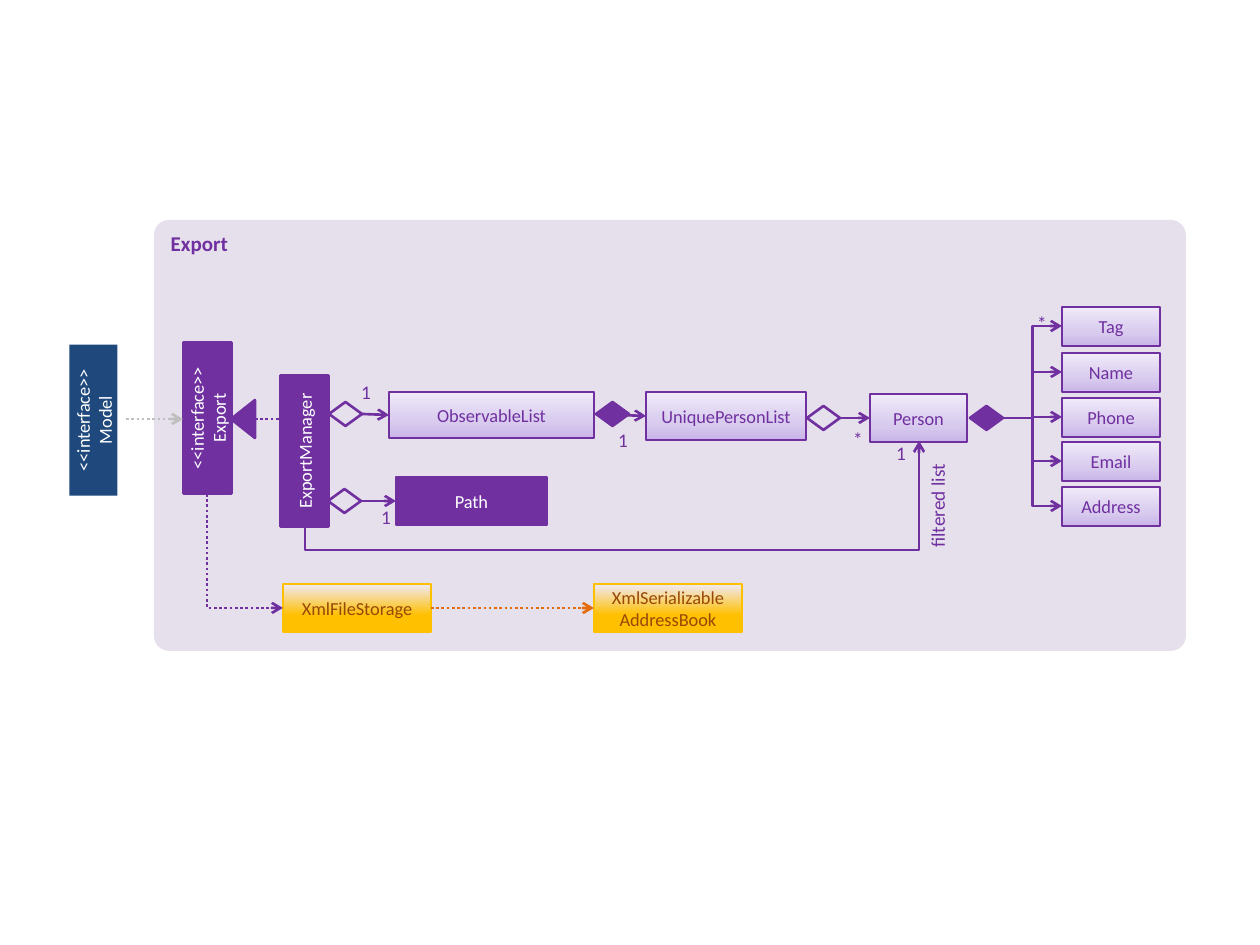
from copy import deepcopy
from pptx import Presentation
from pptx.dml.color import RGBColor
from pptx.enum.dml import MSO_LINE
from pptx.enum.shapes import MSO_CONNECTOR as Link, MSO_SHAPE as Kind
from pptx.enum.text import MSO_ANCHOR as Anchor, PP_ALIGN as Align
from pptx.oxml.ns import qn
from pptx.util import Pt
from lxml.etree import SubElement

PX = 914400 / 126
PURPLE, WHITE, AMBER, BROWN = "7030A0", "FFFFFF", "FFC000", "984807"
LILAC_FADE = ["C9B5E8", "D8CBEE", "F0EAF9"]
AMBER_FADE = [AMBER, AMBER, "F0EAF9"]
rgb = RGBColor.from_string

deck = Presentation()
deck.slide_width, deck.slide_height = round(1260 * PX), round(945 * PX)
slide = deck.slides.add_slide(deck.slide_layouts[6])


def write(frame, text, size, colour, align, bold=False):
    frame.word_wrap = True
    frame.text = text
    for paragraph in frame.paragraphs:
        paragraph.alignment = align
        for run in paragraph.runs:
            run.font.name, run.font.size, run.font.bold = "Calibri", Pt(size), bold
            run.font.color.rgb = rgb(colour)


def add_node(kind, place, fill, edge, text="", ink=WHITE, turn=0):
    node = slide.shapes.add_shape(kind, *[round(v * PX) for v in place])
    node.shadow.inherit = False
    node.rotation = turn
    if fill is None:
        node.fill.background()
    elif isinstance(fill, list):
        node.fill.gradient()
        node.fill.gradient_angle = 90
        stop_list = node._element.spPr.find(qn("a:gradFill")).find(qn("a:gsLst"))
        stop_list.insert(1, deepcopy(stop_list[0]))
        for stop, colour, position in zip(node.fill.gradient_stops, fill, (0, 0.35, 1)):
            stop.color.rgb, stop.position = rgb(colour), position
    else:
        node.fill.solid()
        node.fill.fore_color.rgb = rgb(fill)
    if edge:
        node.line.color.rgb, node.line.width = rgb(edge), Pt(1.5)
    else:
        node.line.fill.background()
    if text:
        node.text_frame.vertical_anchor = Anchor.MIDDLE
        write(node.text_frame, text, 10.5, ink, Align.CENTER)
    return node


panel = add_node(Kind.ROUNDED_RECTANGLE, (154, 220, 1032, 431), "E6E0EC", None)
panel.adjustments[0] = 0.035
panel.text_frame.vertical_anchor = Anchor.TOP
write(panel.text_frame, "Export", 12, PURPLE, Align.LEFT, True)

for text, place, fill, edge, turn in [
    ("Path", (396, 477, 151, 48), PURPLE, PURPLE, 0),
    ("ExportManager", (229, 427, 151, 48), PURPLE, PURPLE, 270),
    ("<<interface>>\nExport", (132, 394, 151, 48), PURPLE, PURPLE, 270),
    ("<<interface>>\nModel", (18, 396, 151, 48), "1F497D", None, 270),
]:
    add_node(Kind.RECTANGLE, place, fill, edge, text, turn=turn)

for text, place in [
    ("ObservableList", (389, 392, 205, 46)),
    ("UniquePersonList", (646, 392, 160, 48)),
    ("Person", (870, 394, 97, 48)),
]:
    add_node(Kind.RECTANGLE, place, LILAC_FADE, PURPLE, text, PURPLE)

for text, left in [("XmlFileStorage", 283), ("XmlSerializable\vAddressBook", 594)]:
    add_node(Kind.RECTANGLE, (left, 584, 148, 48), AMBER_FADE, AMBER, text, BROWN)

add_node(Kind.ISOSCELES_TRIANGLE, (224, 407, 38, 24), PURPLE, PURPLE, turn=270)
for left, top, fill in [(328, 489, None), (329, 402, None), (596, 402, PURPLE),
                        (807, 406, None), (970, 406, PURPLE)]:
    add_node(Kind.FLOWCHART_DECISION, (left, top, 33, 24), fill, PURPLE)

links = [
    (Link.STRAIGHT, (360, 501, 396, 501), PURPLE, False, True),
    (Link.STRAIGHT, (255, 419, 280, 419), PURPLE, True, False),
    (Link.STRAIGHT, (362, 414, 389, 415), PURPLE, False, True),
    (Link.STRAIGHT, (596, 414, 646, 416), PURPLE, False, True),
    (Link.ELBOW, (840, 418, 870, 418), PURPLE, False, True),
    (Link.ELBOW, (126, 419, 183, 419), "BFBFBF", True, True),
    (Link.ELBOW, (431, 608, 594, 608), "E46C0A", True, True),
]
for field, top in [("Tag", 307), ("Name", 353), ("Phone", 398),
                   ("Email", 442), ("Address", 487)]:
    add_node(Kind.RECTANGLE, (1062, top, 98, 39), LILAC_FADE, PURPLE, field, PURPLE)
    links.append((Link.ELBOW, (1003, 418, 1062, top + 19), PURPLE, False, True))

filtered_link = (Link.ELBOW, (655, 791, 569, 177), PURPLE, False, True)
storage_link = (Link.ELBOW, (302, 513, 188, 589), PURPLE, True, True)
for link in links + [filtered_link, storage_link]:
    kind, ends, colour, dotted, arrow = link
    line = slide.shapes.add_connector(kind, *[round(v * PX) for v in ends])
    line.line.color.rgb, line.line.width = rgb(colour), Pt(1.5)
    if dotted:
        line.line.dash_style = MSO_LINE.ROUND_DOT
    props = line._element.spPr
    if arrow:
        SubElement(props.find(qn("a:ln")), qn("a:tailEnd"), type="arrow")
    SubElement(props, qn("a:effectLst"))
    frame, outline = props.find(qn("a:xfrm")), props.find(qn("a:prstGeom"))
    if link is filtered_link:
        frame.set("rot", "5400000")
        SubElement(outline.find(qn("a:avLst")), qn("a:gd"), name="adj1", fmla="val -26700")
    elif link is storage_link:
        frame.set("rot", "16200000")
        outline.set("prst", "bentConnector2")

for text, left, top in [("1", 610, 428), ("*", 845, 427), ("1", 353, 380),
                        ("1", 373, 505), ("1", 888, 441), ("*", 1029, 311)]:
    count = slide.shapes.add_textbox(*[round(v * PX) for v in (left, top, 26, 25)])
    inner = count.text_frame
    inner.margin_left = inner.margin_right = inner.margin_top = inner.margin_bottom = 0
    write(inner, text, 11, PURPLE, Align.CENTER)

filtered = slide.shapes.add_textbox(*[round(v * PX) for v in (877, 494, 121, 36)])
filtered.rotation = 270
write(filtered.text_frame, "filtered list", 11, PURPLE, Align.RIGHT)

deck.save("out.pptx")
